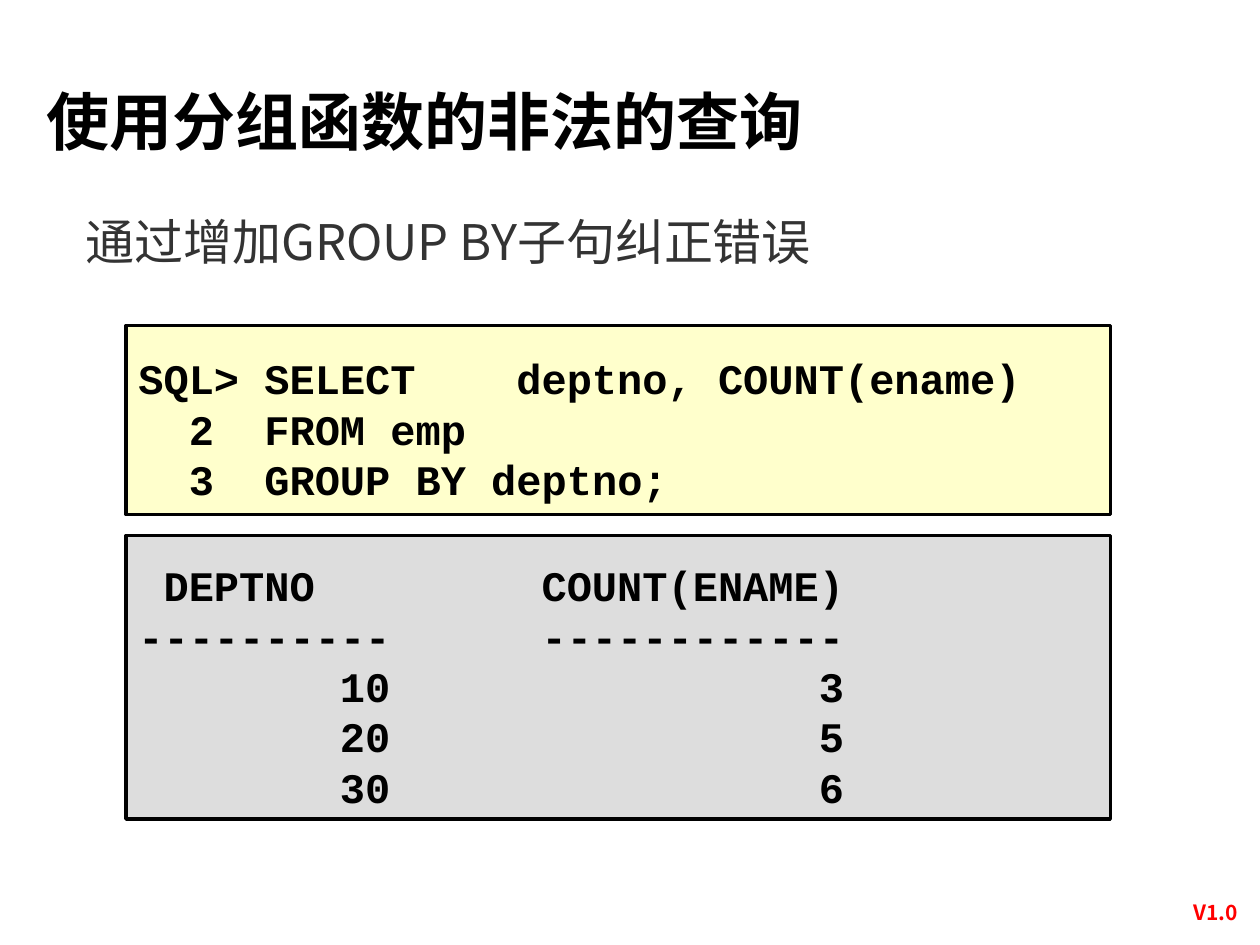
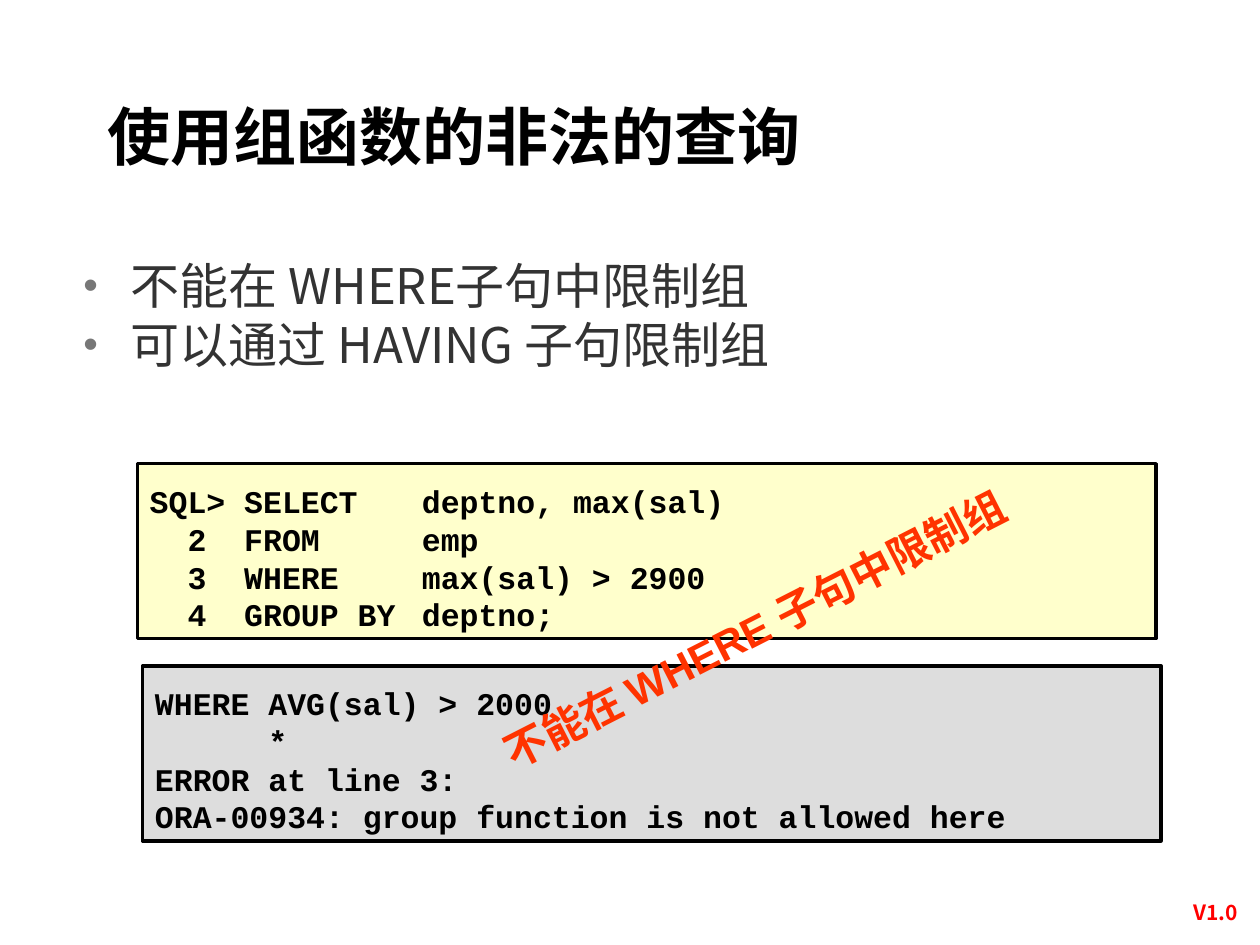
from dataclasses import dataclass

from lxml.etree import SubElement
from pptx import Presentation
from pptx.dml.color import RGBColor
from pptx.enum.shapes import MSO_SHAPE as Preset
from pptx.enum.text import MSO_ANCHOR as Anchor, MSO_AUTO_SIZE as AutoSize, PP_ALIGN as Align
from pptx.oxml.ns import qn
from pptx.util import Pt


@dataclass(frozen=True)
class Style:
    """Look of one kind of text."""
    size: float
    color: str
    font: str = "Noto Sans CJK SC"
    bold: bool = True


@dataclass(frozen=True)
class Theme:
    """Colours, type sizes and text metrics shared by the slides."""
    title: Style = Style(36, "000000")
    body: Style = Style(28, "333333", bold=False)
    code_large: Style = Style(24, "000000", "Courier New")
    code_small: Style = Style(18, "000000", "Courier New")
    label: Style = Style(24, "FF3300", "Arial")
    version: Style = Style(12, "FF0000")
    east_asian: str = "Noto Sans CJK SC"
    code_fill: str = "FFFFCC"
    result_fill: str = "DDDDDD"
    border: str = "000000"
    bullet: str = "777777"
    leading: float = 1.2      # line pitch, in ems
    char_width: float = 0.6   # monospace advance, in ems
    text_drop: float = 0.11   # extra room above text, in ems
    code_drop: float = 0.4    # extra room above code, in ems
    inset_x: float = 7.2
    inset_y: float = 3.6


THEME = Theme()


def prepare_frame(shape, top, bottom, anchor):
    """Set wrapping, insets and anchor; return the text frame."""
    frame = shape.text_frame
    frame.word_wrap = True
    frame.auto_size = AutoSize.NONE
    frame.vertical_anchor = anchor
    frame.margin_left = frame.margin_right = Pt(THEME.inset_x)
    frame.margin_top, frame.margin_bottom = Pt(top), Pt(bottom)
    return frame


def add_run(paragraph, text, style):
    """Add one styled run."""
    run = paragraph.add_run()
    run.text = text
    font = run.font
    font.name, font.size, font.bold = style.font, Pt(style.size), style.bold
    font.color.rgb = RGBColor.from_string(style.color)
    latin = font.latin if hasattr(font, "latin") else run._r.rPr.find(qn("a:latin"))
    east_asian = latin.makeelement(qn("a:ea"), {"typeface": THEME.east_asian})
    latin.addnext(east_asian)


def write_lines(frame, lines, style, align=Align.LEFT):
    """Write each line as a paragraph and return the paragraphs."""
    paragraphs = []
    for number, line in enumerate(lines):
        paragraph = frame.add_paragraph() if number else frame.paragraphs[0]
        paragraph.alignment = align
        paragraph.line_spacing = Pt(style.size * THEME.leading)
        paragraph.space_before = paragraph.space_after = Pt(0)
        add_run(paragraph, line, style)
        paragraphs.append(paragraph)
    return paragraphs


def fill_text(shape, box, lines, style, align=Align.LEFT):
    """Place a text shape in its box and write its lines."""
    shape.left, shape.top, shape.width, shape.height = map(Pt, box)
    top = THEME.inset_y + THEME.text_drop * style.size
    frame = prepare_frame(shape, top, 0, Anchor.TOP)
    return write_lines(frame, lines, style, align)


def add_text(slide, box, text, style, align=Align.LEFT):
    """Add a one-line text box."""
    shape = slide.shapes.add_textbox(*map(Pt, box))
    fill_text(shape, box, [text], style, align)
    return shape


def add_bullets(slide, box, lines):
    """Fill the body placeholder with a bulleted list."""
    for paragraph in fill_text(slide.placeholders[1], box, lines, THEME.body):
        properties = paragraph._p.get_or_add_pPr()
        properties.set("marL", str(Pt(27)))
        properties.set("indent", str(Pt(-27)))
        color = SubElement(properties, qn("a:buClr"))
        SubElement(color, qn("a:srgbClr"), val=THEME.bullet)
        SubElement(properties, qn("a:buSzPct"), val="85000")
        SubElement(properties, qn("a:buChar"), char="•")


def add_code_panel(slide, box, lines, style, fill):
    """Add a bordered panel; a line is a list of (character column, text)."""
    panel = slide.shapes.add_shape(Preset.RECTANGLE, *map(Pt, box))
    panel.shadow.inherit = False
    panel.fill.solid()
    panel.fill.fore_color.rgb = RGBColor.from_string(fill)
    panel.line.color.rgb = RGBColor.from_string(THEME.border)
    panel.line.width = Pt(2)
    frame = prepare_frame(panel, THEME.code_drop * style.size, 0, Anchor.MIDDLE)
    texts = ["".join(("\t" if column else "") + text for column, text in line) for line in lines]
    for line, paragraph in zip(lines, write_lines(frame, texts, style)):
        stops = [column for column, _ in line if column]
        if stops:
            tabs = SubElement(paragraph._p.get_or_add_pPr(), qn("a:tabLst"))
            for column in stops:
                position = Pt(column * THEME.char_width * style.size)
                SubElement(tabs, qn("a:tab"), pos=str(position), algn="l")


def add_slide(presentation, layout, title, title_box):
    """Add a slide with its title."""
    slide = presentation.slides.add_slide(presentation.slide_layouts.get_by_name(layout))
    fill_text(slide.shapes.title, title_box, [title], THEME.title)
    return slide


def move_to_master(presentation, shape):
    """Move a shape to the master, so that every slide shows it."""
    presentation.slide_master.shapes.element.append(shape.element)


def build_group_by_slide(presentation):
    """Query corrected with GROUP BY, and its result."""
    slide = add_slide(presentation, "Title Only", "使用分组函数的非法的查询",
                      (19.5, 39.5, 677, 69))
    version = add_text(slide, (666, 509, 57, 21.6), "V1.0", THEME.version, Align.CENTER)
    move_to_master(presentation, version)
    add_text(slide, (42, 114, 570, 42), "通过增加GROUP BY子句纠正错误", THEME.body)
    left, width = 72, 562.5
    query = [
        [(0, "SQL> SELECT"), (15, "deptno, COUNT(ename)")],
        [(2, "2"), (5, "FROM emp")],
        [(2, "3"), (5, "GROUP BY deptno;")],
    ]
    add_code_panel(slide, (left, 186, width, 108), query, THEME.code_large, THEME.code_fill)
    result = [[(1, "DEPTNO"), (16, "COUNT(ENAME)")], [(0, "-" * 10), (16, "-" * 12)]]
    result += [[(8, department), (27, count)]
               for department, count in (("10", "3"), ("20", "5"), ("30", "6"))]
    add_code_panel(slide, (left, 306, width, 162), result, THEME.code_large, THEME.result_fill)


def build_where_slide(presentation):
    """Illegal group function in WHERE, and its error."""
    slide = add_slide(presentation, "Title and Content", "使用组函数的非法的查询",
                      (54, 48, 612, 72))
    add_bullets(slide, (40.5, 139.5, 601, 75),
                ["不能在 WHERE子句中限制组", "可以通过 HAVING 子句限制组"])
    clauses = [("2", "FROM", "emp"), ("3", "WHERE", "max(sal) > 2900"),
               ("4", "GROUP BY", "deptno;")]
    query = [[(0, "SQL> SELECT"), (14.4, "deptno, max(sal)")]]
    query += [[(2, number), (5, keyword), (14.4, operand)]
              for number, keyword, operand in clauses]
    width, height = 582, 100
    add_code_panel(slide, (78.5, 265, width, height), query, THEME.code_small, THEME.code_fill)
    error = [[(0, "WHERE AVG(sal) > 2000")], [(6, "*")], [(0, "ERROR at line 3:")],
             [(0, "ORA-00934: group function is not allowed here")]]
    add_code_panel(slide, (81.5, 380.5, width, height), error,
                   THEME.code_small, THEME.result_fill)
    label = add_text(slide, (225, 339, 410, 36), "不能在 WHERE 子句中限制组",
                     THEME.label, Align.CENTER)
    label.rotation = 333


def main():
    """Build and save the presentation."""
    presentation = Presentation()
    presentation.slide_width, presentation.slide_height = Pt(720), Pt(540)
    build_group_by_slide(presentation)
    build_where_slide(presentation)
    presentation.save("out.pptx")


main()
